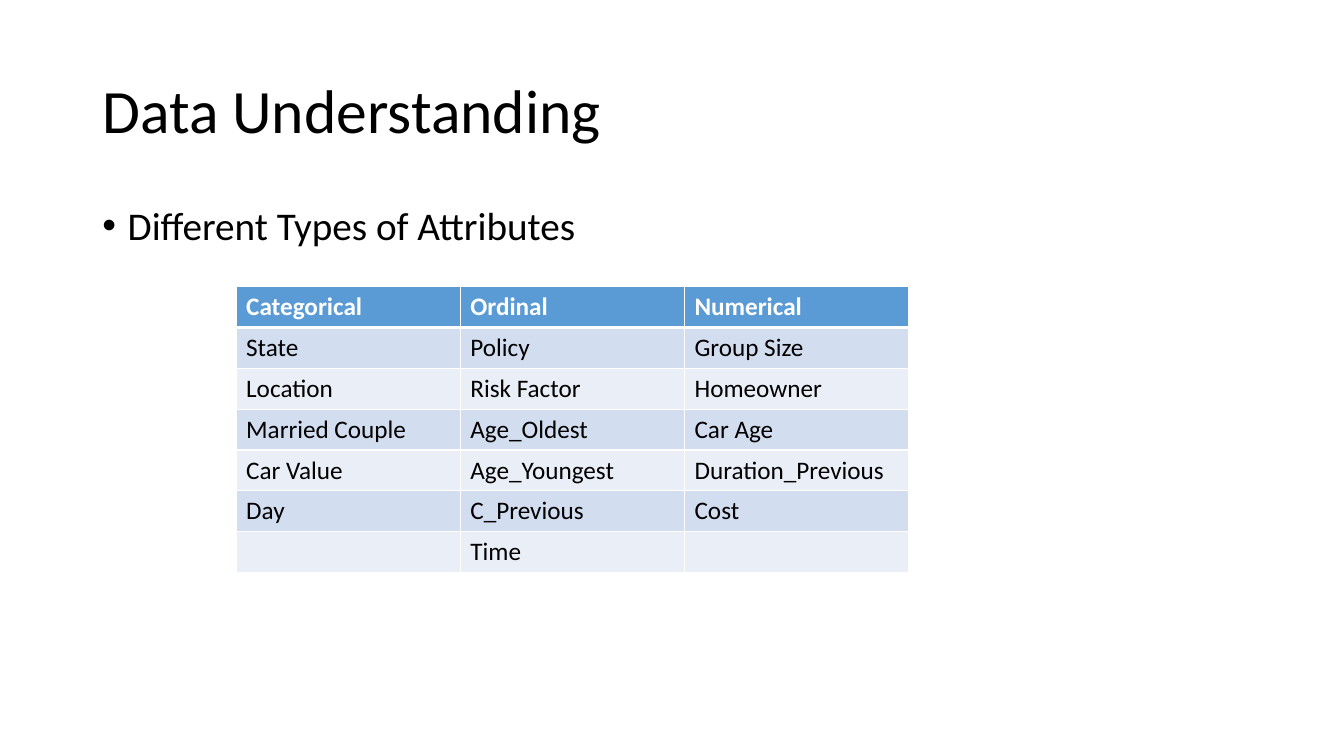
"""Build the Data Understanding slide with its table of attribute types."""
from itertools import product

from lxml.etree import SubElement as Sub
from pptx import Presentation
from pptx.dml.color import RGBColor as RGB
from pptx.enum.text import MSO_ANCHOR as Anchor
from pptx.oxml.ns import qn
from pptx.util import Cm, Pt

THEME = {
    "font": "Calibri", "title": 44, "body": 28, "cell": 18,
    "ink": "000000", "white": "FFFFFF", "head": "5B9BD5",
    "bands": ("EAEFF7", "D2DEEF"),
}
ROWS = [
    ("Categorical", "Ordinal", "Numerical"),
    ("State", "Policy", "Group Size"),
    ("Location", "Risk Factor", "Homeowner"),
    ("Married Couple", "Age_Oldest", "Car Age"),
    ("Car Value", "Age_Youngest", "Duration_Previous"),
    ("Day", "C_Previous", "Cost"),
    ("", "Time", ""),
]


def style(para, size, color="ink", bold=False):
    for run in para.runs:
        font = run.font
        font.name, font.size, font.bold = THEME["font"], Pt(THEME[size]), bold
        font.color.rgb = RGB.from_string(THEME[color])


def add_text(top, height, text, size, anchor):
    box = slide.shapes.add_textbox(Cm(2.33), Cm(top), Cm(29.21), Cm(height))
    frame = box.text_frame
    frame.word_wrap = True
    frame.vertical_anchor = anchor
    frame.text = text
    para = frame.paragraphs[0]
    para.line_spacing = 0.9
    style(para, size)
    return para


deck = Presentation()
deck.slide_width, deck.slide_height = Cm(33.87), Cm(19.05)
slide = deck.slides.add_slide(deck.slide_layouts[6])

add_text(1.01, 3.68, "Data Understanding", "title", Anchor.MIDDLE)
point = add_text(5.07, 12.09, "Different Types of Attributes", "body", Anchor.TOP)
point.space_before = Pt(10)
props = point._p.get_or_add_pPr()
props.set("marL", str(Cm(0.64)))
props.set("indent", str(Cm(-0.64)))
Sub(props, qn("a:buFont"), typeface="Arial")
Sub(props, qn("a:buChar"), char="•")

wide, high = 5.65, 1.03
count, span = len(ROWS), len(ROWS[0])
table = slide.shapes.add_table(
    count, span, Cm(5.95), Cm(7.22), Cm(wide * span), Cm(high * count)
).table
for col in table.columns:
    col.width = Cm(wide)
for row in table.rows:
    row.height = Cm(high)

for r, c in product(range(count), range(span)):
    cell = table.cell(r, c)
    cell.text = ROWS[r][c]
    head = r == 0
    style(cell.text_frame.paragraphs[0], "cell", "white" if head else "ink", head)
    thick = {"L": 1, "R": 1, "T": 3 if r == 1 else 1, "B": 3 if head else 1}
    for side, width in thick.items():
        line = Sub(cell._tc.get_or_add_tcPr(), qn(f"a:ln{side}"), w=str(Pt(width)))
        Sub(Sub(line, qn("a:solidFill")), qn("a:srgbClr"), val=THEME["white"])
    cell.fill.solid()
    shade = THEME["head"] if head else THEME["bands"][r % 2]
    cell.fill.fore_color.rgb = RGB.from_string(shade)

deck.save("out.pptx")
